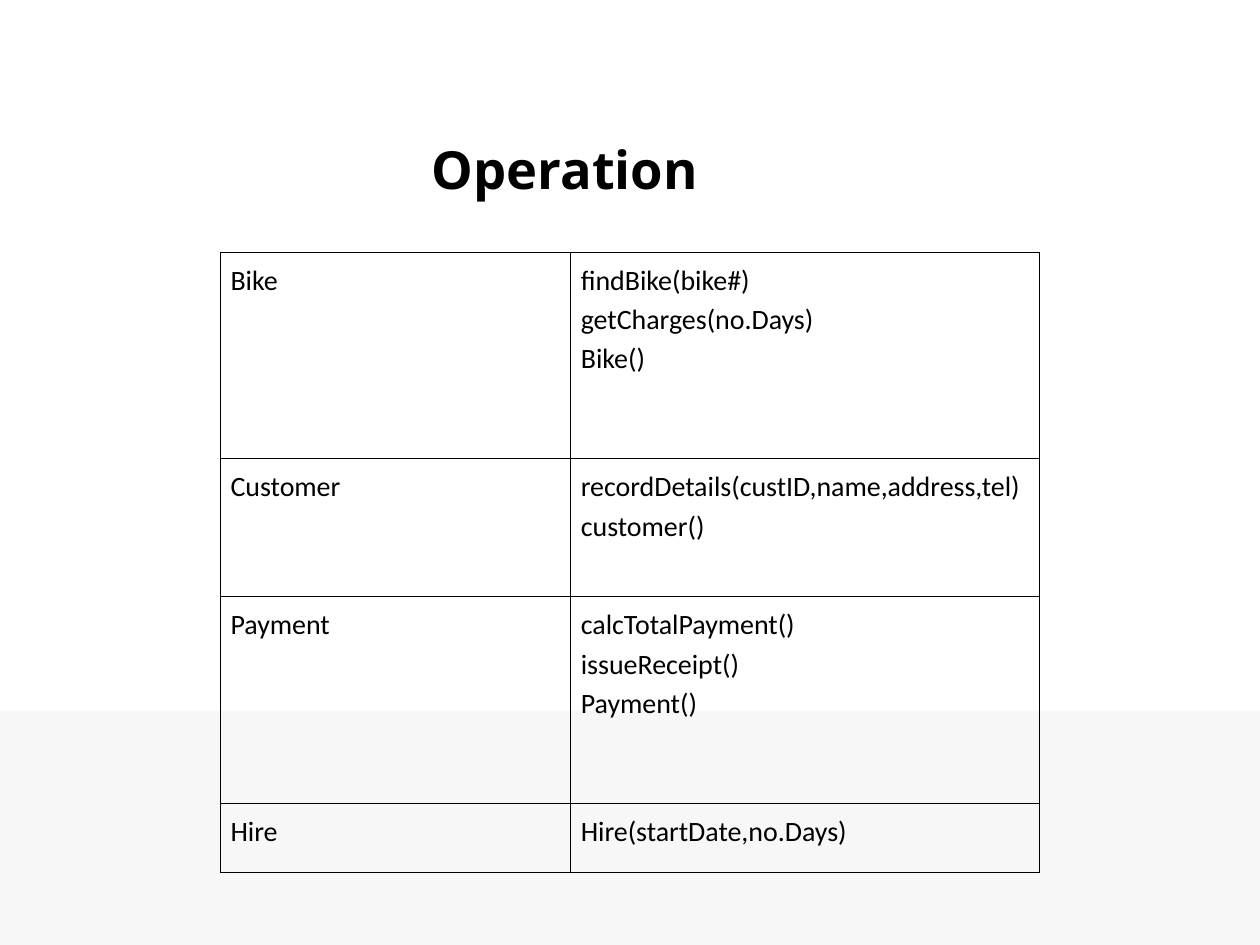
from lxml.etree import SubElement
from pptx import Presentation
from pptx.dml.color import RGBColor
from pptx.enum.shapes import MSO_SHAPE as Shape
from pptx.enum.text import MSO_ANCHOR as Anchor
from pptx.oxml import parse_xml
from pptx.oxml.ns import nsdecls, qn
from pptx.util import Inches, Pt

COLORS = {"text": "000000", "border": "000000", "band": "F7F7F7"}
TITLE = "Operation"
OPERATIONS = [
    ("Bike", ["findBike(bike#)", "getCharges(no.Days)", "Bike()"]),
    ("Customer", ["recordDetails(custID,name,address,tel)", "customer()"]),
    ("Payment", ["calcTotalPayment()", "issueReceipt()", "Payment()"]),
    ("Hire", ["Hire(startDate,no.Days)"]),
]
COLUMN_WIDTHS = [2.78, 3.72]
LINE_HEIGHT = 0.547  # row height for each operation listed
BORDER_WIDTH = 0.45


def write_text(frame, lines, font, size, bold=False, spacing=None):
    for index, line in enumerate(lines):
        paragraph = frame.paragraphs[0] if index == 0 else frame.add_paragraph()
        paragraph.line_spacing = spacing
        run = paragraph.add_run()
        run.text = line
        run.font.name = font
        run.font.size = Pt(size)
        run.font.bold = bold
        run.font.color.rgb = RGBColor.from_string(COLORS["text"])


def add_borders(cell):
    properties = cell._tc.get_or_add_tcPr()
    for position, side in enumerate(("lnL", "lnR", "lnT", "lnB")):
        line = parse_xml(f'<a:{side} {nsdecls("a")} w="{Pt(BORDER_WIDTH)}"/>')
        fill = SubElement(line, qn("a:solidFill"))
        SubElement(fill, qn("a:srgbClr"), val=COLORS["border"])
        properties.insert(position, line)


presentation = Presentation()
presentation.slide_width = Inches(10)
presentation.slide_height = Inches(7.5)
slide = presentation.slides.add_slide(presentation.slide_layouts[6])

# Bottom band
band = slide.shapes.add_shape(
    Shape.RECTANGLE, Inches(0), Inches(5.64), Inches(10), Inches(1.86))
band.shadow.inherit = False
band.fill.solid()
band.fill.fore_color.rgb = RGBColor.from_string(COLORS["band"])
band.line.fill.background()

# Title
title = slide.shapes.add_textbox(Inches(3.33), Inches(1), Inches(6.17), Inches(0.67))
title.text_frame.word_wrap = True
title.text_frame.vertical_anchor = Anchor.MIDDLE
write_text(title.text_frame, [TITLE], font="Open Sans", size=30, bold=True)

# Operations table
row_heights = [LINE_HEIGHT * len(operations) for _, operations in OPERATIONS]
table = slide.shapes.add_table(
    len(OPERATIONS), len(COLUMN_WIDTHS), Inches(1.75), Inches(2),
    Inches(sum(COLUMN_WIDTHS)), Inches(sum(row_heights))).table
table.first_row = False
table.horz_banding = False
for column, width in zip(table.columns, COLUMN_WIDTHS):
    column.width = Inches(width)
for row, height, (name, operations) in zip(table.rows, row_heights, OPERATIONS):
    row.height = Inches(height)
    for cell, lines in zip(row.cells, ([name], operations)):
        cell.margin_left = cell.margin_right = Inches(0.08)
        cell.margin_top = cell.margin_bottom = Inches(0.05)
        cell.fill.background()
        add_borders(cell)
        write_text(cell.text_frame, lines, font="Calibri", size=16, spacing=1.15)

presentation.save("out.pptx")
